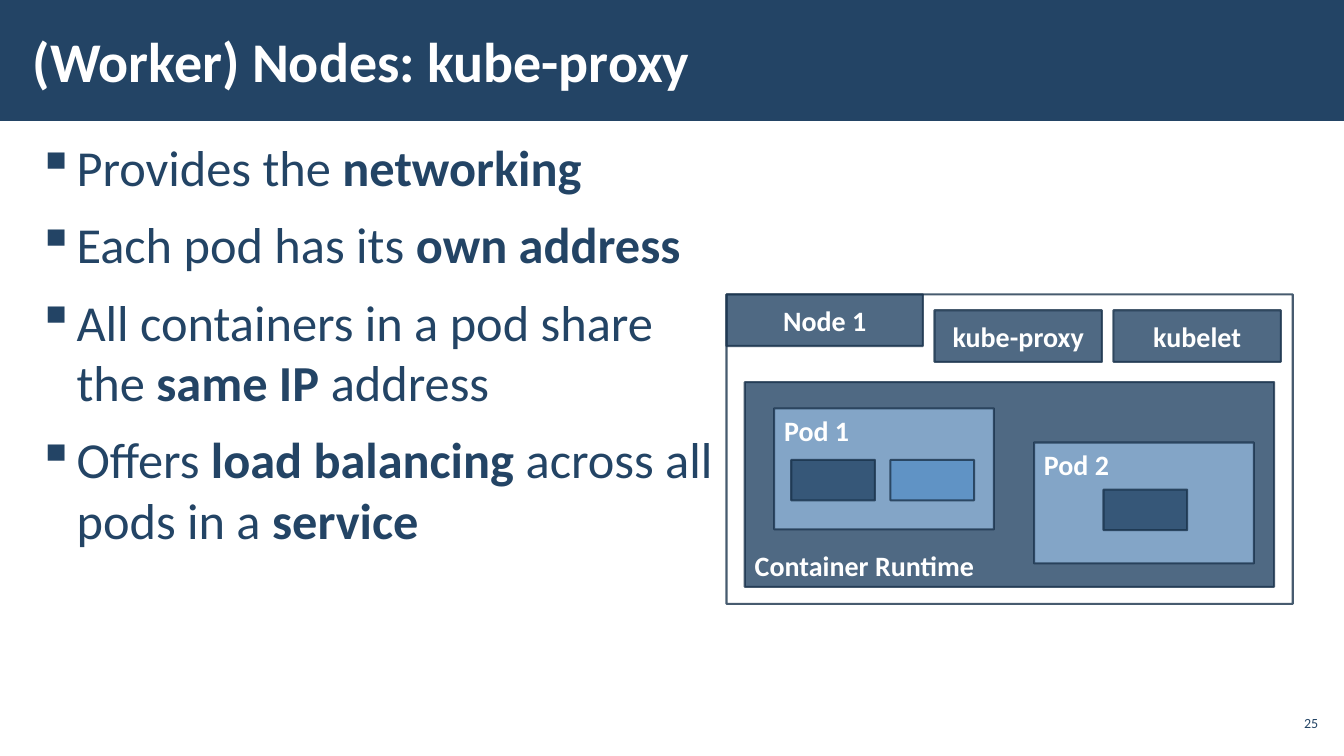
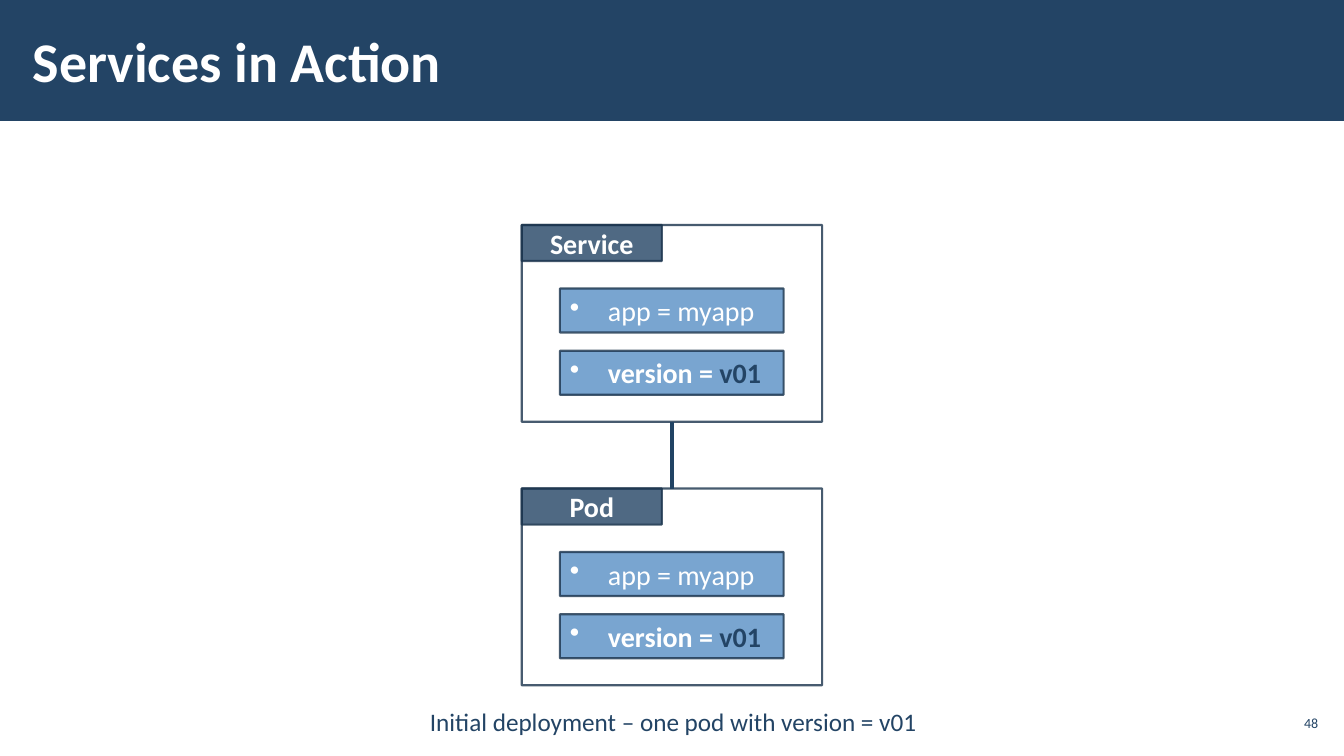
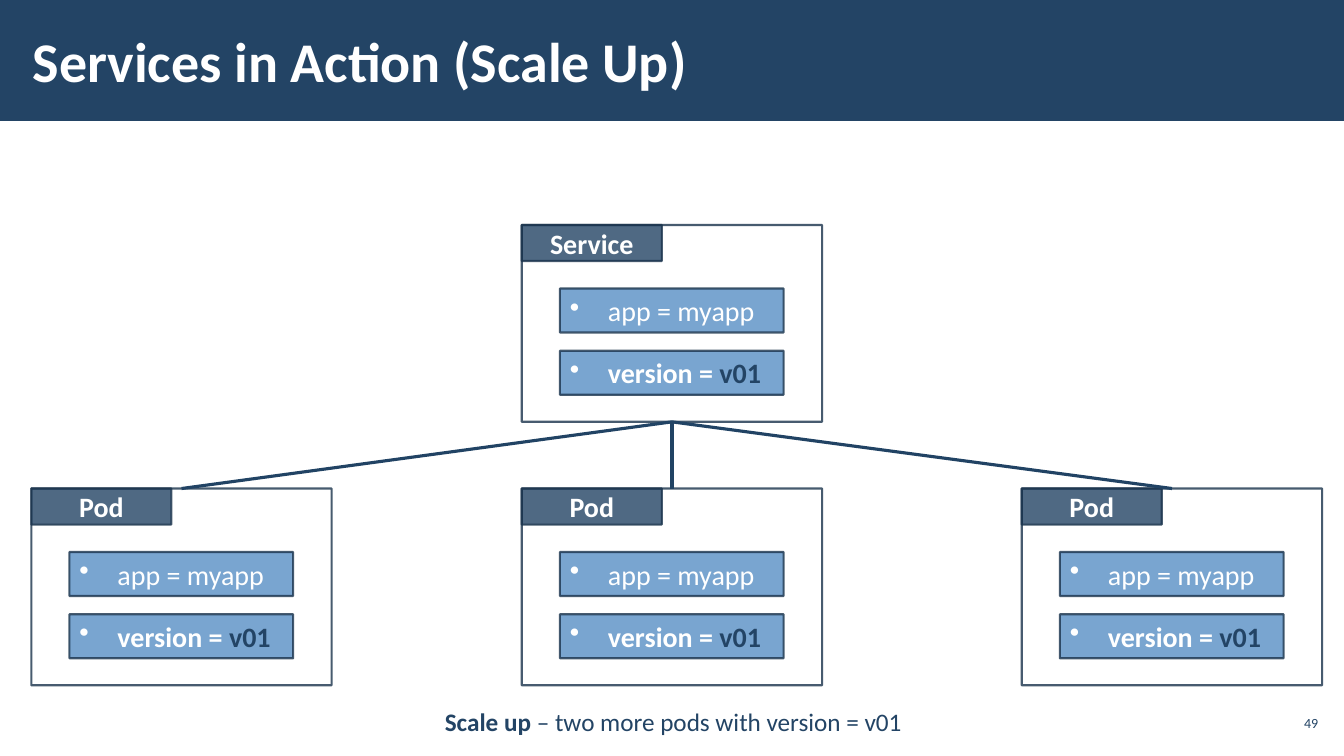
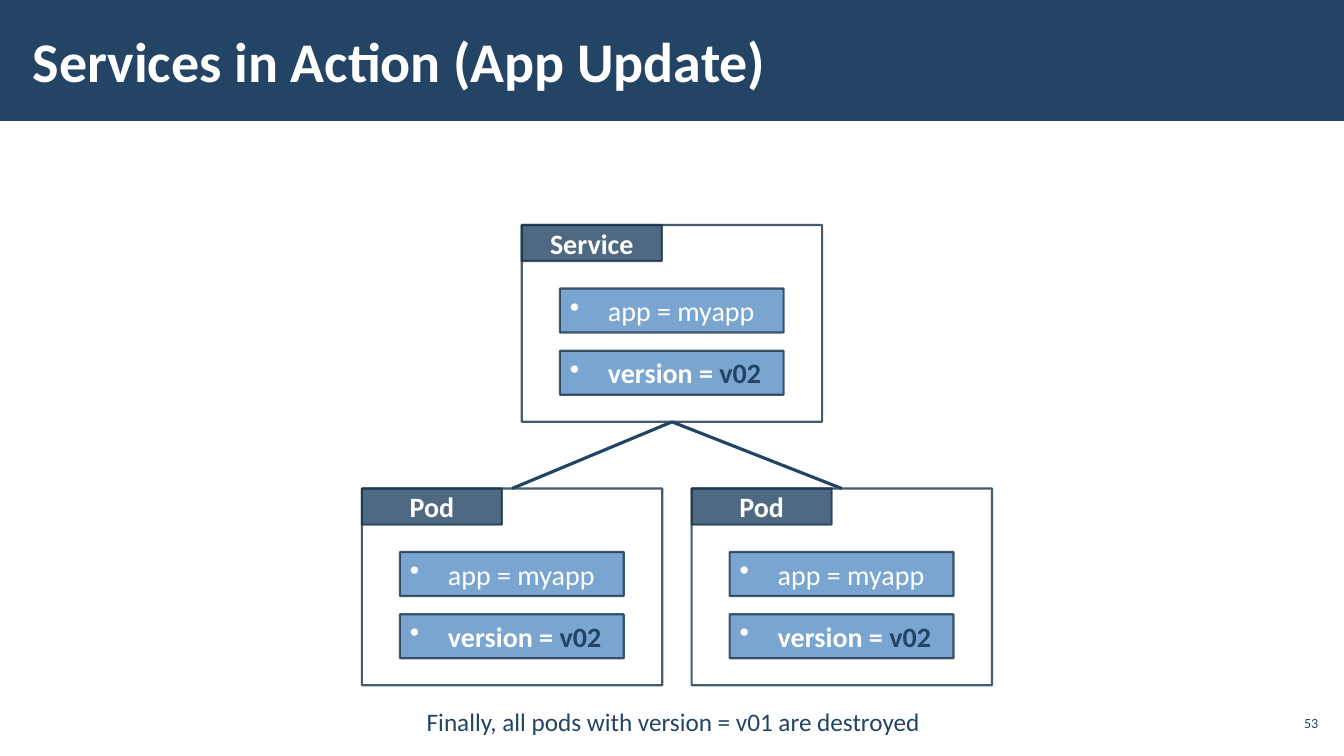
from dataclasses import dataclass

from lxml import etree
from pptx import Presentation
from pptx import util as u
from pptx.dml.color import RGBColor
from pptx.enum import shapes, text
from pptx.oxml import ns

ALIGN = text.PP_ALIGN
ANCHOR = text.MSO_ANCHOR
CENTER_LEFT = 13.15  # left edge of a panel centred on the slide


@dataclass(frozen=True)
class Theme:
    font: str = "Calibri"
    navy: str = "234465"
    outline: str = "1A334C"
    link: str = "214364"
    blue: str = "588FC5"
    pale: str = "90B4D8"
    white: str = "FFFFFF"
    opacity: int = 80  # percent, for all diagram boxes
    title: int = 40
    body: int = 36
    label: int = 20
    caption: int = 18
    number: int = 10


@dataclass(frozen=True)
class Span:
    text: str
    bold: bool = False
    color: str = ""


class SlideBuilder:
    """Holds the deck, its style and the slide being drawn; lengths are in cm."""

    def __init__(self, theme):
        self.theme = theme
        self.deck = Presentation()
        self.deck.slide_width, self.deck.slide_height = u.Cm(33.87), u.Cm(19.05)
        self.page = None

    # Slide frame: band, title, page number
    def new_page(self, title, number):
        theme = self.theme
        self.page = self.deck.slides.add_slide(self.deck.slide_layouts[6])
        band = self.rectangle((0, 0, 33.87, 3.05), theme.navy)
        band.line.fill.background()
        self.text_box((0.53, 0.28, 27, 2.46), [[Span(title, True)]], theme.title,
                      theme.white, anchor=ANCHOR.MIDDLE, inset=(0.3, 0.1))
        self.text_box((32.13, 17.78, 1.19, 0.86), [[Span(str(number))]], theme.number,
                      theme.navy, ALIGN.RIGHT, ANCHOR.MIDDLE, (0.1, 0.1))

    # Text
    def fill_text(self, box, paragraphs, size, color, align=ALIGN.LEFT,
                  anchor=ANCHOR.TOP, inset=(0.25, 0.13)):
        frame = box.text_frame
        frame.word_wrap = True
        frame.vertical_anchor = anchor
        frame.margin_left = frame.margin_right = u.Cm(inset[0])
        frame.margin_top = frame.margin_bottom = u.Cm(inset[1])
        for index, spans in enumerate(paragraphs):
            para = frame.add_paragraph() if index else frame.paragraphs[0]
            para.alignment = align
            for span in spans:
                run = para.add_run()
                run.text = span.text
                run.font.name = self.theme.font
                run.font.size = u.Pt(size)
                run.font.bold = span.bold
                run.font.color.rgb = RGBColor.from_string(span.color or color)
        return frame

    def text_box(self, area, paragraphs, size, color, *layout, **options):
        box = self.page.shapes.add_textbox(*map(u.Cm, area))
        return self.fill_text(box, paragraphs, size, color, *layout, **options)

    def bullet(self, para, mark, indent):
        properties = para._p.get_or_add_pPr()
        properties.set("marL", str(u.Cm(indent)))
        properties.set("indent", str(-u.Cm(indent)))
        etree.SubElement(properties, ns.qn("a:buChar"), char=mark)

    def bullet_list(self, area, paragraphs):
        frame = self.text_box(area, paragraphs, self.theme.body, self.theme.navy,
                              inset=(0.3, 0.1))
        for para in frame.paragraphs:
            para.space_before = para.space_after = u.Pt(6)
            self.bullet(para, "▪", 0.99)

    def caption(self, *spans):
        frame = self.text_box((6.05, 17.42, 21.84, 1.42), [spans], self.theme.caption,
                              self.theme.navy, ALIGN.CENTER, inset=(0.4, 0.3))
        frame.paragraphs[0].line_spacing = 1.1

    # Diagram parts
    def rectangle(self, area, fill, parent=None):
        parent = parent or self.page
        box = parent.shapes.add_shape(shapes.MSO_SHAPE.RECTANGLE, *map(u.Cm, area))
        box.shadow.inherit = False
        box.fill.solid()
        box.fill.fore_color.rgb = RGBColor.from_string(fill)
        return box

    def block(self, area, fill, label="", align=ALIGN.CENTER, anchor=ANCHOR.MIDDLE,
              parent=None):
        theme = self.theme
        box = self.rectangle(area, fill, parent)
        box.line.color.rgb = RGBColor.from_string(theme.outline)
        box.line.width = u.Pt(1.5)
        for color in box.element.spPr.iter(ns.qn("a:srgbClr")):
            etree.SubElement(color, ns.qn("a:alpha"), val=str(theme.opacity * 1000))
        if label:
            self.fill_text(box, [[Span(label, True)]], theme.label, theme.white,
                           align, anchor)
        return box

    def tag(self, area, spans, parent):
        box = self.block(area, self.theme.blue, parent=parent)
        frame = self.fill_text(box, [spans], self.theme.label, self.theme.white)
        self.bullet(frame.paragraphs[0], "•", 0.96)

    def panel(self, left, top, name, version):
        """A named frame with its two selector tags; returns the frame."""
        theme = self.theme
        group = self.page.shapes.add_group_shape()
        frame = self.block((left, top, 7.57, 4.96), theme.white, parent=group)
        self.block((left, top, 3.53, 0.91), theme.navy, name, parent=group)
        rows = ([Span("app = myapp")],
                [Span("version = ", True), Span(version, True, theme.navy)])
        for row, spans in enumerate(rows):
            self.tag((left + 0.96, top + 1.6 + row * 1.57, 5.64, 1.11), spans, group)
        return frame

    def pod(self, left, top, name, containers):
        """A pod holding containers, each given as (x, y, fill) inside it."""
        group = self.page.shapes.add_group_shape()
        self.block((left, top, 5.54, 3.05), self.theme.pale, name, ALIGN.LEFT,
                   ANCHOR.TOP, group)
        for x, y, fill in containers:
            self.block((left + x, top + y, 2.11, 1.02), fill, parent=group)

    def link(self, upper, lower):
        line = self.page.shapes.add_connector(shapes.MSO_CONNECTOR.STRAIGHT, 0, 0, 0, 0)
        line.begin_connect(upper, 2)  # bottom centre
        line.end_connect(lower, 0)  # top centre
        line.line.color.rgb = RGBColor.from_string(self.theme.link)
        line.line.width = u.Pt(2.25)
        etree.SubElement(line.element.spPr, ns.qn("a:effectLst"))

    def service_page(self, title, number, version, pod_lefts, caption):
        self.new_page(title, number)
        pods = [self.panel(left, 12.31, "Pod", version) for left in pod_lefts]
        service = self.panel(CENTER_LEFT, 5.67, "Service", version)
        for pod in pods:
            self.link(service, pod)
        self.caption(*caption)


def node_page(builder):
    theme = builder.theme
    builder.new_page("(Worker) Nodes: kube-proxy", 25)
    builder.bullet_list((0.64, 3.33, 17.7, 15.29), [
        [Span("Provides the "), Span("networking", True)],
        [Span("Each pod has its "), Span("own address", True)],
        [Span("All containers in a pod share the "), Span("same IP ", True),
         Span("address")],
        [Span("Offers "), Span("load balancing ", True),
         Span("across all pods in a "), Span("service", True)],
    ])

    # Node and its agents
    builder.block((18.31, 7.42, 14.27, 7.8), theme.white)
    builder.block((18.31, 7.42, 4.95, 1.3), theme.navy, "Node 1")
    for index, agent in enumerate(("kube-proxy", "kubelet")):
        builder.block((23.55 + index * 4.51, 7.82, 4.22, 1.3), theme.navy, agent)

    # Runtime and its pods
    builder.block((18.77, 9.63, 13.34, 5.16), theme.navy, "Container Runtime",
                  ALIGN.LEFT, ANCHOR.BOTTOM)
    builder.pod(19.51, 10.29, "Pod 1", [(0.43, 1.3, theme.navy), (2.93, 1.3, theme.blue)])
    builder.pod(26.06, 11.15, "Pod 2", [(1.75, 1.19, theme.navy)])


def main():
    builder = SlideBuilder(Theme())
    node_page(builder)
    builder.service_page("Services in Action", 48, "v01", [CENTER_LEFT],
                         [Span("Initial deployment – one pod with version = v01")])
    builder.service_page("Services in Action (Scale Up)", 49, "v01",
                         [0.79, CENTER_LEFT, 25.75],
                         [Span("Scale up ", True),
                          Span("– two more pods with version = v01")])
    builder.service_page("Services in Action (App Update)", 53, "v02", [9.12, 17.43],
                         [Span("Finally, all pods with version = v01 are destroyed")])
    builder.deck.save("out.pptx")


if __name__ == "__main__":
    main()
